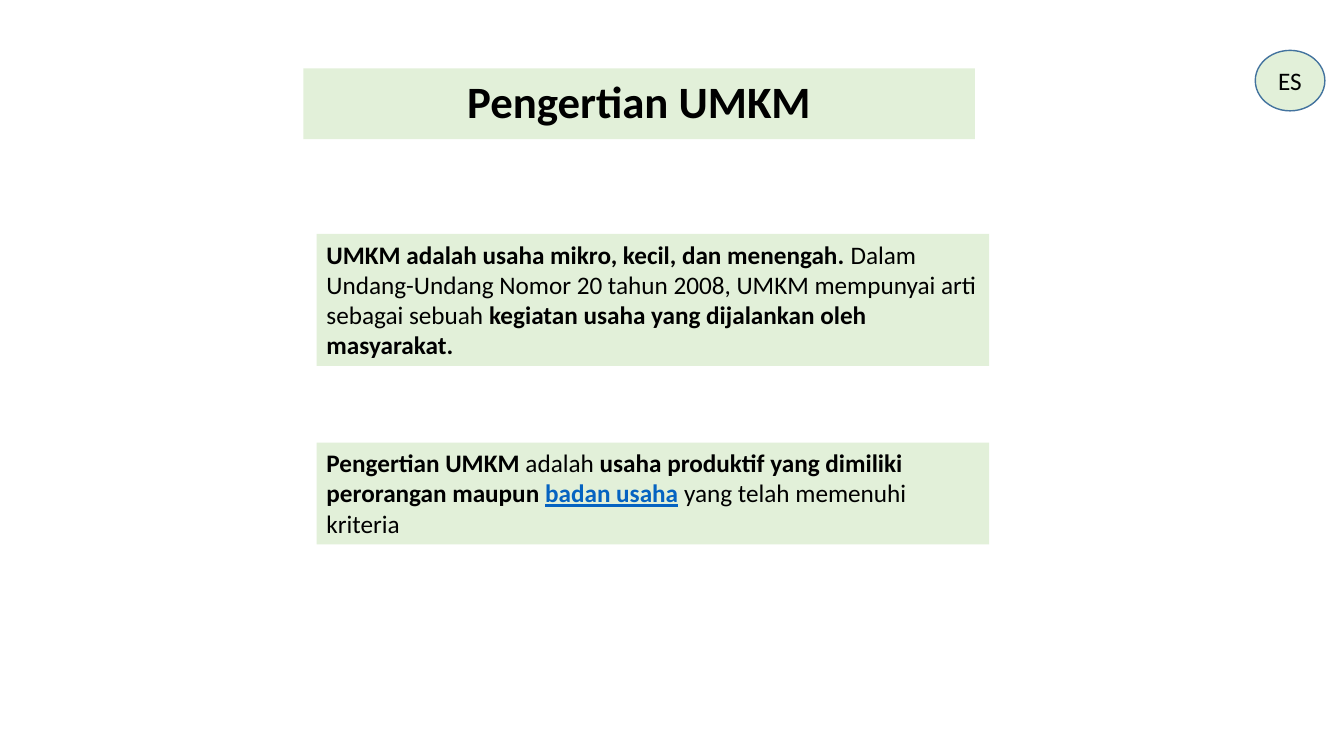
from pptx import Presentation
from pptx.dml.color import RGBColor
from pptx.enum.shapes import MSO_SHAPE
from pptx.enum.text import MSO_ANCHOR, PP_ALIGN
from pptx.util import Emu, Pt

RECT, OVAL = MSO_SHAPE.RECTANGLE, MSO_SHAPE.OVAL
TOP, MIDDLE = MSO_ANCHOR.TOP, MSO_ANCHOR.MIDDLE
LEFT, CENTER = PP_ALIGN.LEFT, PP_ALIGN.CENTER

GREEN = RGBColor(0xE2, 0xF0, 0xD9)
BLUE = RGBColor(0x43, 0x73, 0x9E)
LINK = RGBColor(0x05, 0x63, 0xC1)
BLACK = RGBColor(0, 0, 0)

PX = 9144  # EMU per px, 100 px to the inch
WIDE, HIGH = 1333, 750
FONT = "Calibri"


def px(n):
    return Emu(n * PX)


def panel(slide, box, kind=RECT, line=None):
    """Add a green shape, outlined only when a line colour is given."""
    shape = slide.shapes.add_shape(kind, *map(px, box))
    shape.shadow.inherit = False
    shape.fill.solid()
    shape.fill.fore_color.rgb = GREEN
    if line is None:
        shape.line.fill.background()
    else:
        shape.line.color.rgb = line
        shape.line.width = Pt(1)
    return shape


def write(para, text, size=18, bold=False, color=BLACK, under=False):
    run = para.add_run()
    run.text = text
    font = run.font
    font.name, font.size, font.bold = FONT, Pt(size), bold
    font.underline = under
    font.color.rgb = color


def start(shape, align=LEFT, anchor=TOP):
    """Prepare the text frame and return its first paragraph."""
    frame = shape.text_frame
    frame.word_wrap = True
    frame.vertical_anchor = anchor
    para = frame.paragraphs[0]
    para.alignment = align
    return para


def title(slide, box, text):
    para = start(panel(slide, box), CENTER, MIDDLE)
    para.line_spacing = 0.9
    write(para, text, size=32, bold=True)


def note(slide, box, parts):
    para = start(panel(slide, box))
    for text, form in parts:
        write(para, text, **form)


def badge(slide, box, text):
    write(start(panel(slide, box, OVAL, BLUE), CENTER, MIDDLE), text)


def main():
    deck = Presentation()
    deck.slide_width, deck.slide_height = px(WIDE), px(HIGH)
    slide = deck.slides.add_slide(deck.slide_layouts[6])

    plain, strong = {}, {"bold": True}
    link = {"bold": True, "color": LINK, "under": True}

    title(slide, (301, 68, 666, 70), "Pengertian UMKM")
    note(slide, (314, 232, 667, 131), [
        ("UMKM adalah usaha mikro, kecil, dan menengah. ", strong),
        ("Dalam Undang-Undang Nomor 20 tahun 2008, UMKM mempunyai arti "
         "sebagai sebuah ", plain),
        ("kegiatan usaha yang dijalankan oleh masyarakat.", strong),
    ])
    note(slide, (314, 439, 667, 101), [
        ("Pengertian UMKM ", strong),
        ("adalah ", plain),
        ("usaha produktif yang dimiliki perorangan maupun ", strong),
        ("badan usaha", link),
        (" ", strong),
        ("yang telah memenuhi kriteria", plain),
    ])
    badge(slide, (1245, 50, 69, 60), "ES")

    deck.save("out.pptx")


if __name__ == "__main__":
    main()
